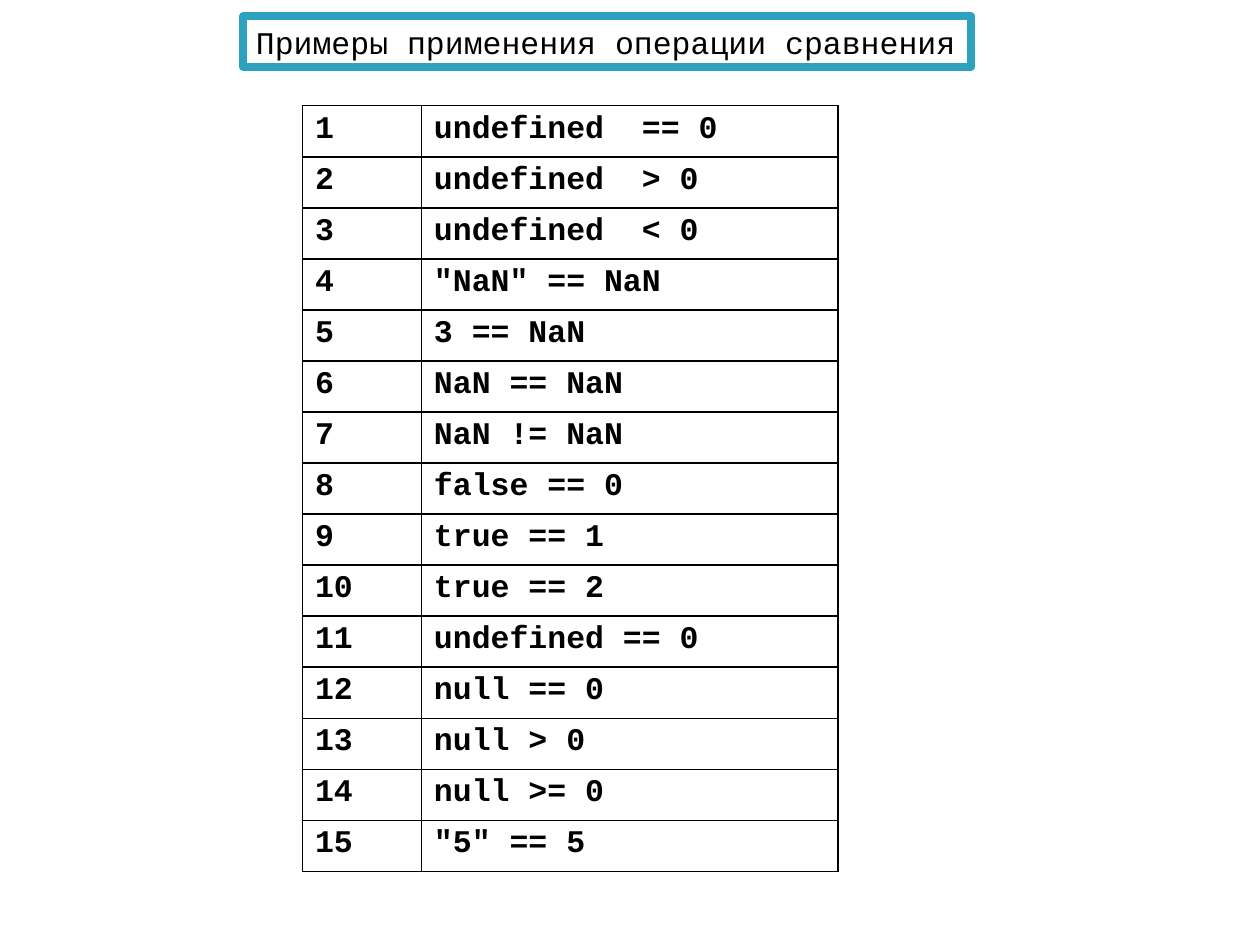
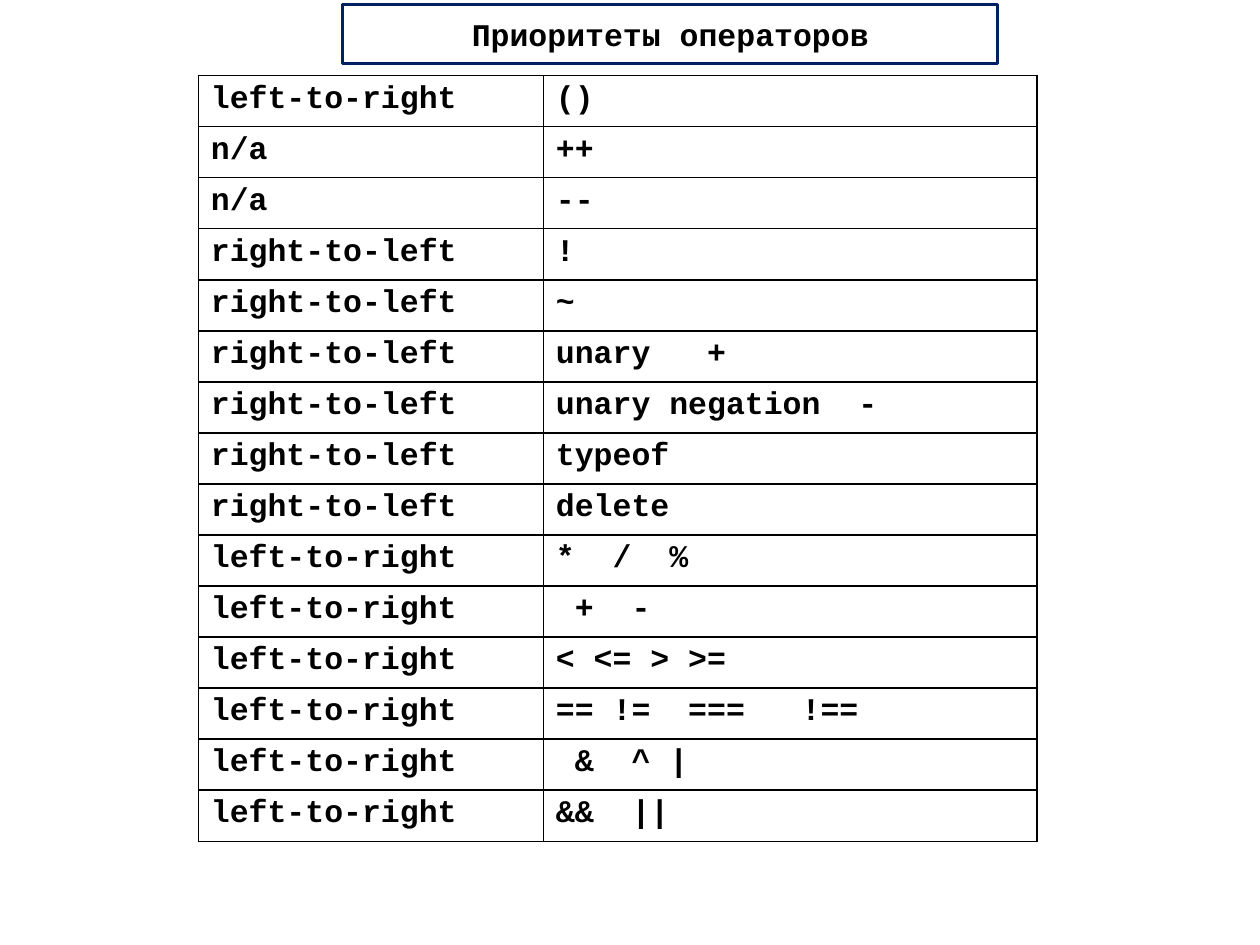
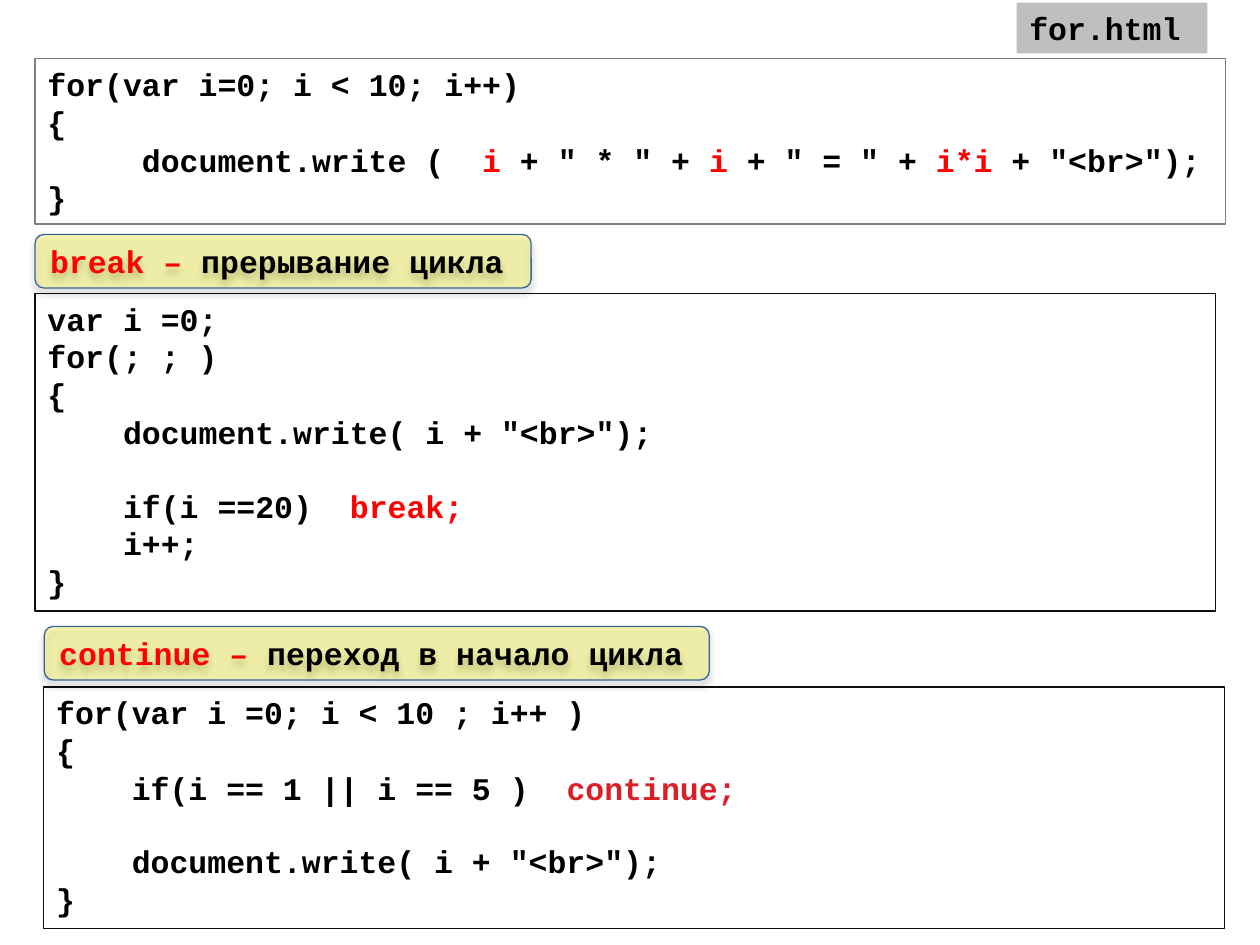
from dataclasses import dataclass
from typing import Any

from lxml.etree import SubElement as Sub
from pptx import Presentation
from pptx.dml.color import RGBColor
from pptx.enum.shapes import MSO_SHAPE as Form
from pptx.enum.text import MSO_ANCHOR as Anchor, MSO_AUTO_SIZE as Auto, PP_ALIGN as Align
from pptx.oxml.ns import qn
from pptx.util import Pt

HUES = {
    "ink": "000000", "paper": "FFFFFF", "teal": "2DA2BF", "navy": "002060",
    "red": "FF0000", "rose": "DA1F28", "gray": "808080", "silver": "BFBFBF",
    "coal": "0D0D0D", "yellow": "FFFF00", "blue": "39639D",
}
FONT = {"name": "Courier New", "size": Pt(18)}
CHAR = 10.8    # width of one letter, in points
LINE = 20.4    # height of one line, in points
ROW = 29.18    # height of one table row, in points
MARK = "`"     # encloses accented words


@dataclass
class Box:
    """A framed text: place, text and colours."""
    left: float
    top: float
    width: float
    height: float
    text: str
    fill: str = ""
    line: str = ""
    weight: float = 0.75
    accent: str = "red"
    bold: bool = True
    wrap: bool = True
    align: Any = Align.LEFT
    anchor: Any = Anchor.TOP


@dataclass
class Grid:
    """A two-column table: place, column widths and rows."""
    left: float
    top: float
    cols: tuple[float, float]
    rows: list[tuple[str, str]]


def rgb(hue: str) -> RGBColor:
    """Look a colour up by name."""
    return RGBColor.from_string(HUES[hue])


def apply(item: Any, form: dict[str, Any]) -> None:
    """Set attributes from a dict of format values."""
    for key, value in form.items():
        setattr(item, key, value)


def write(frame: Any, text: str, accent: str = "red", bold: bool = True,
          align: Any = Align.LEFT) -> None:
    """Write lines; leading spaces become indents and empty lines become spacing."""
    gap, first = 0.0, True
    for line in text.split("\n"):
        body = line.lstrip(" ")
        if not body:
            gap += LINE
            continue
        par = frame.paragraphs[0] if first else frame.add_paragraph()
        apply(par, {"alignment": align, "space_before": Pt(gap)})
        inset = len(line) - len(body)
        if inset:
            par._p.get_or_add_pPr().set("marL", str(Pt(inset * CHAR)))
        for num, part in enumerate(body.split(MARK)):
            if part:
                run = par.add_run()
                run.text = part
                apply(run.font, FONT | {"bold": bold})
                run.font.color.rgb = rgb(accent if num % 2 else "ink")
        gap, first = 0.0, False


def dress(shape: Any, box: Box) -> None:
    """Place, paint and fill in a shape or placeholder."""
    apply(shape, {key: Pt(getattr(box, key))
                  for key in ("left", "top", "width", "height")})
    if box.fill:
        shape.fill.solid()
        shape.fill.fore_color.rgb = rgb(box.fill)
    else:
        shape.fill.background()
    if box.line:
        shape.line.color.rgb = rgb(box.line)
        shape.line.width = Pt(box.weight)
    else:
        shape.line.fill.background()
    apply(shape.text_frame, {"auto_size": Auto.NONE, "word_wrap": box.wrap,
                             "vertical_anchor": box.anchor})
    write(shape.text_frame, box.text, box.accent, box.bold, box.align)


def draw(slide: Any, box: Box, form: Any = Form.RECTANGLE) -> Any:
    """Add a plain framed text."""
    shape = slide.shapes.add_shape(form, 0, 0, 0, 0)
    shape.shadow.inherit = False
    dress(shape, box)
    return shape


def badge(slide: Any, box: Box) -> None:
    """Add a rounded, see-through label with a soft shadow."""
    shape = draw(slide, box, Form.ROUNDED_RECTANGLE)
    props = shape.element.spPr
    tint = props.find(qn("a:solidFill")).find(qn("a:srgbClr"))
    Sub(tint, qn("a:alpha"), val="27000")
    cast = Sub(props.find(qn("a:effectLst")), qn("a:outerShdw"), blurRad=str(Pt(4)),
               dist=str(Pt(3)), dir="5400000", rotWithShape="0")
    Sub(Sub(cast, qn("a:srgbClr"), val=HUES["ink"]), qn("a:alpha"), val="35000")


def table(slide: Any, grid: Grid) -> None:
    """Add a ruled table without fill."""
    count = len(grid.rows)
    tab = slide.shapes.add_table(count, len(grid.cols), Pt(grid.left), Pt(grid.top),
                                 Pt(sum(grid.cols)), Pt(ROW * count)).table
    apply(tab, {"first_row": False, "horz_banding": False})
    for col, width in zip(tab.columns, grid.cols):
        col.width = Pt(width)
    for row, texts in zip(tab.rows, grid.rows):
        row.height = Pt(ROW)
        for cell, text in zip(row.cells, texts):
            props = cell._tc.get_or_add_tcPr()
            for side in ("lnL", "lnR", "lnT", "lnB"):
                edge = Sub(props, qn(f"a:{side}"), w=str(Pt(1)))
                Sub(Sub(edge, qn("a:solidFill")), qn("a:srgbClr"), val=HUES["ink"])
            cell.fill.background()
            write(cell.text_frame, text)


def start(deck: Any, head: Box) -> Any:
    """Add a slide with a framed title."""
    slide = deck.slides.add_slide(deck.slide_layouts[5])
    dress(slide.shapes.title, head)
    return slide


TESTS = [
    "undefined  == 0", "undefined  > 0", "undefined  < 0", '"NaN" == NaN',
    "3 == NaN", "NaN == NaN", "NaN != NaN", "false == 0", "true == 1",
    "true == 2", "undefined == 0", "null == 0", "null > 0", "null >= 0", '"5" == 5',
]
LEFT, RIGHT = "left-to-right", "right-to-left"
ORDER = [
    (LEFT, ["()"]),
    ("n/a", ["++", "--"]),
    (RIGHT, ["!", "~", "unary   +", "unary negation  -", "typeof", "delete"]),
    (LEFT, ["*  /  %", " +  -", "< <= > >=", "== !=  ===   !==", " &  ^ |", "&&  ||"]),
]
FOR = """for(var i=0; i < 10; i++)
{
     document.write (  `i` + " * " + `i` + " = " + `i*i` + "<br>");
}"""
BREAK = """var i =0;
for(; ; )
{
    document.write( i + "<br>");

    if(i ==20)  `break;`
    i++;
}"""
SKIP = """for(var i =0; i < 10 ; i++ )
{
    if(i == 1 || i == 5 )  `continue;`

    document.write( i + "<br>");
}"""


def main() -> None:
    """Build the three slides."""
    deck = Presentation()
    apply(deck, {"slide_width": Pt(720), "slide_height": Pt(540)})

    slide = start(deck, Box(139, 9.3, 416, 29, "Примеры применения операции сравнения",
                            "paper", "teal", 4.33, bold=False, wrap=False))
    table(slide, Grid(172.8, 60.4, (68, 238.2),
                      [(str(num), test) for num, test in enumerate(TESTS, 1)]))

    slide = start(deck, Box(195.8, 2.4, 374.4, 33.8, "Приоритеты операторов", "paper",
                            "navy", 1.5, align=Align.CENTER, anchor=Anchor.MIDDLE))
    table(slide, Grid(113.3, 43.2, (197.2, 282.2),
                      [(way, sign) for way, signs in ORDER for sign in signs]))

    slide = start(deck, Box(581, 1.5, 109, 29, "for.html", "silver"))
    for box in (
        Box(25, 392.6, 674.8, 138, SKIP, line="coal", accent="rose"),
        Box(20, 33.6, 680.4, 94.5, FOR, line="gray"),
        Box(20, 167.7, 674.8, 181.5, BREAK, line="coal"),
    ):
        draw(slide, box)
    for left, top, width, text in (
        (25.3, 358, 380, "`continue – `переход в начало цикла"),
        (20, 134, 283.5, "`break – `прерывание цикла"),
    ):
        badge(slide, Box(left, top, width, 30.6, text, "yellow", "blue",
                         anchor=Anchor.MIDDLE))

    deck.save("out.pptx")


main()
